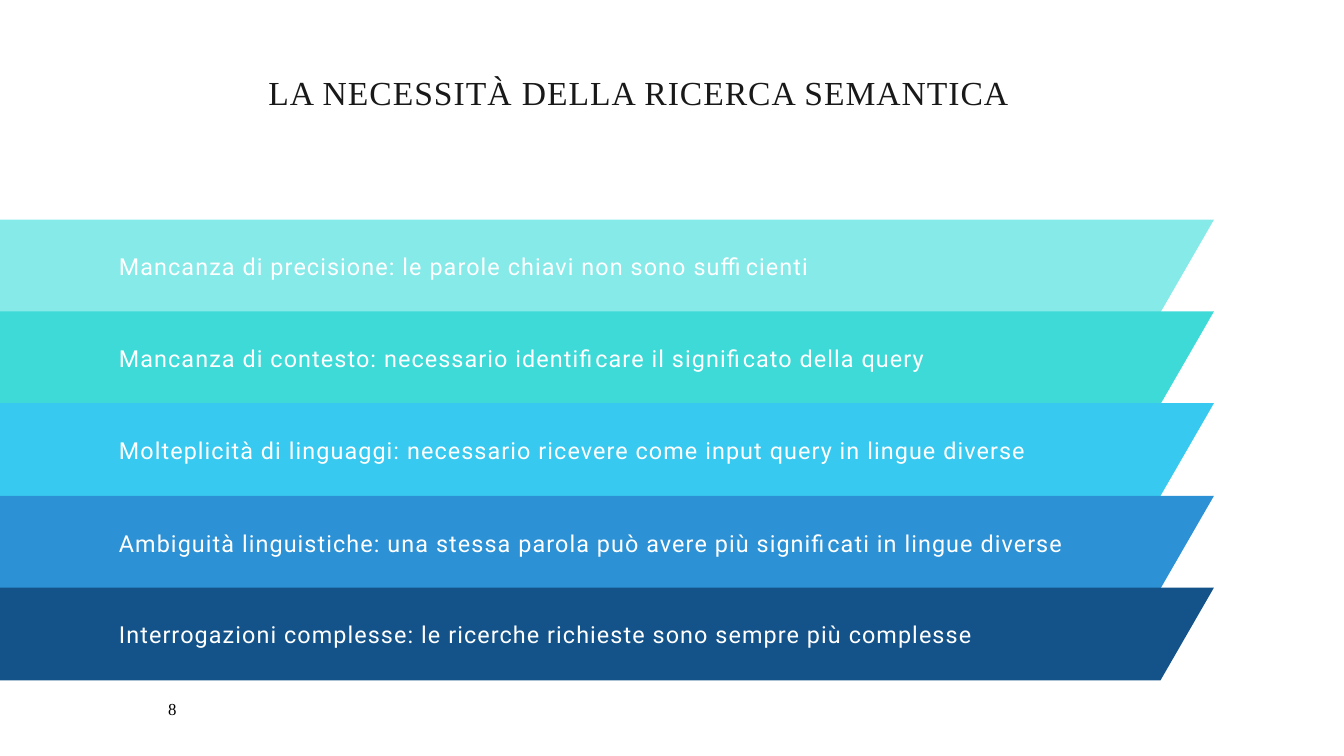
from dataclasses import dataclass

from pptx import Presentation
from pptx import util as u
from pptx.dml.color import RGBColor
from pptx.enum import text

PX = 9144  # EMU per px, 100 px to the inch
BAND_TOP, BAND_PITCH, BAND_HEIGHT = 218, 91.25, 92
BAND_RIGHT, SLANT = 1204, 53
LABEL_LEFT, LABEL_DROP, LABEL_HEIGHT = 118, 28, 30


@dataclass
class Band:
    label: str
    color: str
    label_width: int
    left: int = -57


@dataclass
class Style:
    font: str
    size: float
    color: str
    spacing: int = 0  # hundredths of a point between letters
    line: float | None = None
    align: text.PP_ALIGN = text.PP_ALIGN.LEFT


TITLE = Style("Times New Roman", 24, "191919", 70, 28.8, text.PP_ALIGN.CENTER)
LABEL = Style("Roboto", 16.7, "FFFFFF", 80, 23.3)
NUMBER = Style("Times New Roman", 12, "000000", align=text.PP_ALIGN.CENTER)

TIGHT = {"margin_left": 0, "margin_top": 0, "margin_right": 0, "margin_bottom": 0,
         "word_wrap": True, "vertical_anchor": text.MSO_ANCHOR.TOP,
         "auto_size": text.MSO_AUTO_SIZE.SHAPE_TO_FIT_TEXT}
CENTERED = {"word_wrap": True, "vertical_anchor": text.MSO_ANCHOR.MIDDLE}

BANDS = [
    Band("Mancanza di precisione: le parole chiavi non sono sufficienti", "86EAE9", 762),
    Band("Mancanza di contesto: necessario identificare il significato della query",
         "3EDAD8", 832),
    Band("Molteplicità di linguaggi: necessario ricevere come input query in lingue diverse",
         "37C9EF", 949),
    Band("Ambiguità linguistiche: una stessa parola può avere più significati in lingue diverse",
         "2C92D5", 977, left=-69),
    Band("Interrogazioni complesse: le ricerche richieste sono sempre più complesse",
         "13538A", 930),
]


def px(n: int) -> u.Emu:
    return u.Emu(n * PX)


def rgb(color: str) -> RGBColor:
    return RGBColor.from_string(color)


def set_all(target, values: dict) -> None:
    for name, value in values.items():
        setattr(target, name, value)


def write(sp, content: str, style: Style, frame: dict) -> None:
    tf = sp.text_frame
    set_all(tf, frame)
    p = tf.paragraphs[0]
    p.alignment = style.align
    if style.line:
        p.line_spacing = u.Pt(style.line)
    r = p.add_run()
    r.text = content
    set_all(r.font, {"name": style.font, "size": u.Pt(style.size)})
    r.font.color.rgb = rgb(style.color)
    if style.spacing:
        r._r.get_or_add_rPr().set("spc", str(style.spacing))


def add_text(s, content: str, box: tuple[int, int, int, int], style: Style,
             frame: dict) -> None:
    write(s.shapes.add_textbox(*map(px, box)), content, style, frame)


def add_band(s, band: Band, top: int) -> None:
    bottom = top + BAND_HEIGHT
    outline = s.shapes.build_freeform(band.left, top, scale=PX)
    outline.add_line_segments([(BAND_RIGHT, top), (BAND_RIGHT - SLANT, bottom),
                               (band.left + SLANT, bottom)], close=True)
    sp = outline.convert_to_shape()
    sp.shadow.inherit = False
    sp.fill.solid()
    sp.fill.fore_color.rgb = rgb(band.color)
    sp.line.fill.background()


def main() -> None:
    prs = Presentation()
    set_all(prs, {"slide_width": px(1333), "slide_height": px(750)})
    s = prs.slides.add_slide(prs.slide_layouts[5])

    title = s.shapes.title
    set_all(title, {"left": px(173), "top": px(71), "width": px(921), "height": px(38)})
    write(title, "LA NECESSITÀ DELLA RICERCA SEMANTICA", TITLE, TIGHT)

    tops = [round(BAND_TOP + i * BAND_PITCH) for i in range(len(BANDS))]
    for band, top in zip(BANDS, tops):
        add_band(s, band, top)
    for band, top in zip(BANDS, tops):
        box = (LABEL_LEFT, top + LABEL_DROP, band.label_width, LABEL_HEIGHT)
        add_text(s, band.label, box, LABEL, TIGHT)

    add_text(s, "8", (21, 683, 300, 40), NUMBER, CENTERED)
    prs.save("out.pptx")


if __name__ == "__main__":
    main()
